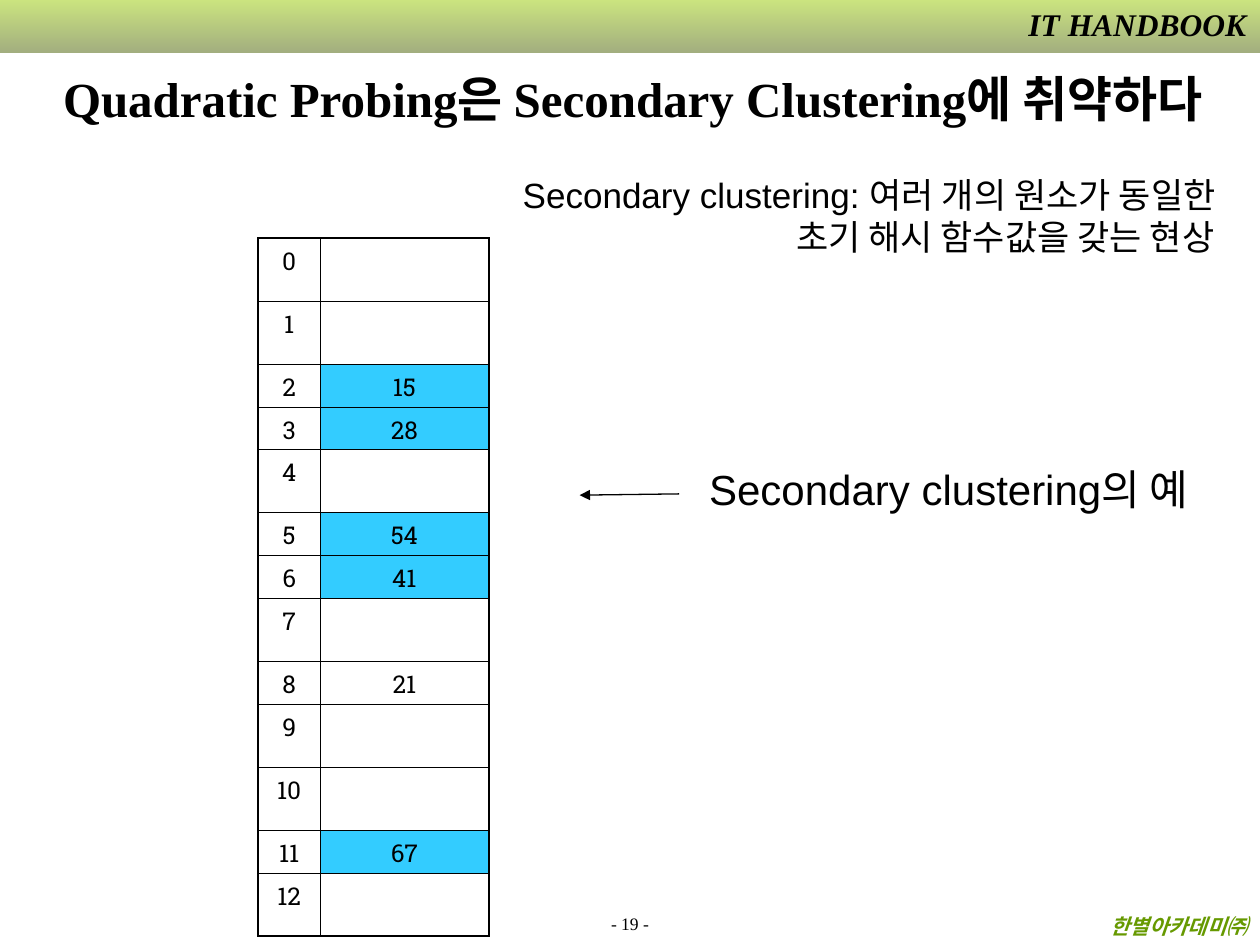
from dataclasses import dataclass

import lxml.etree
import pptx
import pptx.dml.color
import pptx.enum.shapes
import pptx.enum.text
import pptx.oxml
import pptx.oxml.ns
import pptx.util

Inches = pptx.util.Inches
Pt = pptx.util.Pt
Align = pptx.enum.text.PP_ALIGN
Anchor = pptx.enum.text.MSO_ANCHOR
qn = pptx.oxml.ns.qn


@dataclass(frozen=True)
class Theme:
    ink: str = "000000"
    fill: str = "33CCFF"
    top: str = "99CC00"
    base: str = "475E00"
    brand: str = "669900"
    sans: str = "Arial"
    serif: str = "Times New Roman"
    slab: str = "Roboto Slab"
    title: int = 28
    label: int = 24
    body: int = 20
    head: int = 18
    cell: int = 14
    foot: int = 12
    page: int = 10
    thick: float = 1.08
    thin: float = 0.45


THEME = Theme()
SLOTS = 13
KEYS = {2: "15", 3: "28", 5: "54", 6: "41", 8: "21", 11: "67"}
CHAIN = {2, 3, 5, 6, 11}


def rgb(code):
    return pptx.dml.color.RGBColor.from_string(code)


def style(frame, face, size, color=THEME.ink, bold=False, slant=False,
          align=Align.LEFT):
    for para in frame.paragraphs:
        para.alignment = align
        for run in para.runs:
            font = run.font
            font.name, font.size = face, Pt(size)
            font.bold, font.italic = bold, slant
            font.color.rgb = rgb(color)


def add_text(slide, text, box, face, size, wrap=True, **look):
    frame = slide.shapes.add_textbox(*map(Inches, box)).text_frame
    frame.word_wrap = wrap
    frame.text = text
    style(frame, face, size, **look)
    return frame


def add_glow(run):
    """Give the run a small white shadow."""
    run.font._element.find(qn("a:solidFill")).addnext(pptx.oxml.parse_xml(
        '<a:effectLst xmlns:a="http://schemas.openxmlformats.org/drawingml/2006/main">'
        '<a:outerShdw dist="25400" dir="2700000"><a:srgbClr val="FFFFFF"/>'
        '</a:outerShdw></a:effectLst>'))


def add_band(slide):
    band = slide.shapes.add_shape(
        pptx.enum.shapes.MSO_SHAPE.RECTANGLE, 0, 0, Inches(10), Inches(0.42))
    band.shadow.inherit = False
    band.line.fill.background()
    band.fill.gradient()
    band.fill.gradient_angle = 270
    for stop, code in zip(band.fill.gradient_stops, (THEME.top, THEME.base)):
        stop.color.rgb = rgb(code)
    for color in band._element.spPr.iter(qn("a:srgbClr")):
        lxml.etree.SubElement(color, qn("a:alpha"), val="50000")


def add_title(slide, text):
    title = slide.shapes.title
    title.left, title.top = Inches(0.4), Inches(0.49)
    title.width, title.height = Inches(9.57), Inches(0.57)
    frame = title.text_frame
    frame.text = text
    frame.word_wrap = False
    frame.auto_size = pptx.enum.text.MSO_AUTO_SIZE.NONE
    frame.vertical_anchor = Anchor.TOP
    style(frame, THEME.serif, THEME.title, bold=True)


def add_arrow(slide, start, end):
    line = slide.shapes.add_connector(
        pptx.enum.shapes.MSO_CONNECTOR.STRAIGHT, *map(Inches, start + end))
    line.line.color.rgb = rgb(THEME.ink)
    line.line.width = Pt(0.75)
    lxml.etree.SubElement(line.line._get_or_add_ln(), qn("a:tailEnd"),
                          type="triangle")
    lxml.etree.SubElement(line._element.spPr, qn("a:effectLst"))


def set_edges(cell, thick):
    """Draw the four borders, heavy on the sides named in thick."""
    props = cell._tc.get_or_add_tcPr()
    for side in "LRTB":
        width = THEME.thick if side in thick else THEME.thin
        edge = lxml.etree.SubElement(props, qn("a:ln" + side),
                                     w=str(int(Pt(width))))
        paint = lxml.etree.SubElement(edge, qn("a:solidFill"))
        lxml.etree.SubElement(paint, qn("a:srgbClr"), val=THEME.ink)


def add_cell(cell, text, thick, shaded):
    cell.text = text
    style(cell.text_frame, THEME.slab, THEME.cell, align=Align.CENTER)
    set_edges(cell, thick)
    if shaded:
        cell.fill.solid()
        cell.fill.fore_color.rgb = rgb(THEME.fill)
    else:
        cell.fill.background()


def add_hash(slide):
    """Draw the hash table; slots without a key are taller."""
    table = slide.shapes.add_table(
        SLOTS, 2, Inches(2.05), Inches(1.89), Inches(1.83), Inches(5.54)).table
    table.first_row = table.horz_banding = False
    for col, width in zip(table.columns, (0.49, 1.34)):
        col.width = Inches(width)
    for slot, row in enumerate(table.rows):
        row.height = Inches(0.34 if slot in KEYS else 0.5)
        ends = {0: "T", SLOTS - 1: "B"}.get(slot, "")
        add_cell(row.cells[0], str(slot), "L" + ends, False)
        add_cell(row.cells[1], KEYS.get(slot, ""), "R" + ends, slot in CHAIN)


def main():
    deck = pptx.Presentation()
    deck.slide_width, deck.slide_height = Inches(10), Inches(7.5)
    slide = deck.slides.add_slide(deck.slide_layouts[5])

    add_band(slide)
    head = add_text(slide, "IT HANDBOOK", (7.88, -0.01, 2.11, 0.4),
                    THEME.serif, THEME.head, bold=True, slant=True,
                    align=Align.RIGHT)
    add_glow(head.paragraphs[0].runs[0])
    add_text(slide, "한별아카데미㈜", (0.06, 7.2, 9.94, 0.3), THEME.serif,
             THEME.foot, color=THEME.brand, bold=True, slant=True,
             align=Align.RIGHT)
    page = add_text(slide, "- 19 -", (0, 7.24, 10, 0.22), THEME.serif,
                    THEME.page, align=Align.CENTER)
    page.vertical_anchor = Anchor.BOTTOM

    add_title(slide, "Quadratic Probing은 Secondary Clustering에 취약하다")
    add_text(slide, "Secondary clustering의 예", (5.53, 3.63, 4.1, 0.5),
             THEME.sans, THEME.label, wrap=False)
    add_arrow(slide, (5.39, 3.92), (4.6, 3.93))
    add_hash(slide)
    note = add_text(
        slide, "Secondary clustering: 여러 개의 원소가 동일한\n"
        "초기 해시 함수값을 갖는 현상", (4.05, 1.33, 5.89, 0.77),
        THEME.sans, THEME.body)
    note.paragraphs[1]._p.get_or_add_pPr().set("marL", str(Inches(2.17)))

    deck.save("out.pptx")


if __name__ == "__main__":
    main()
